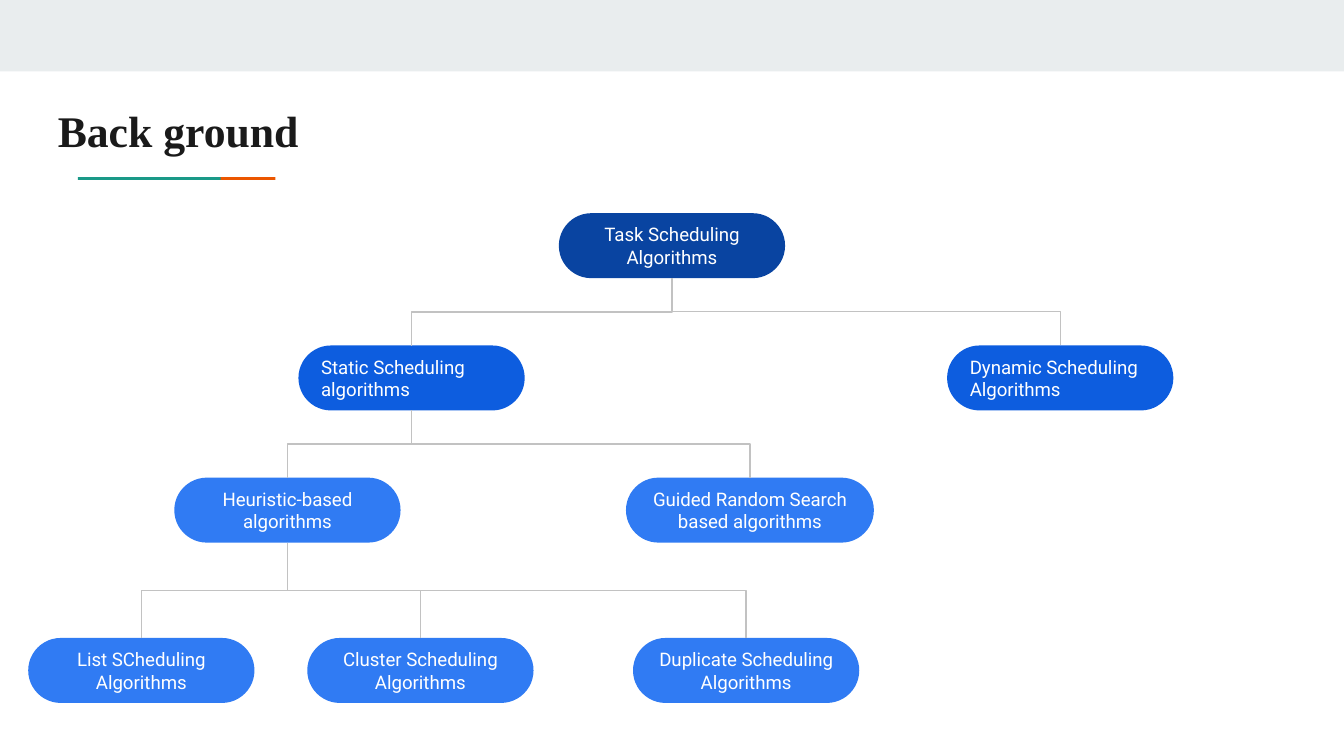
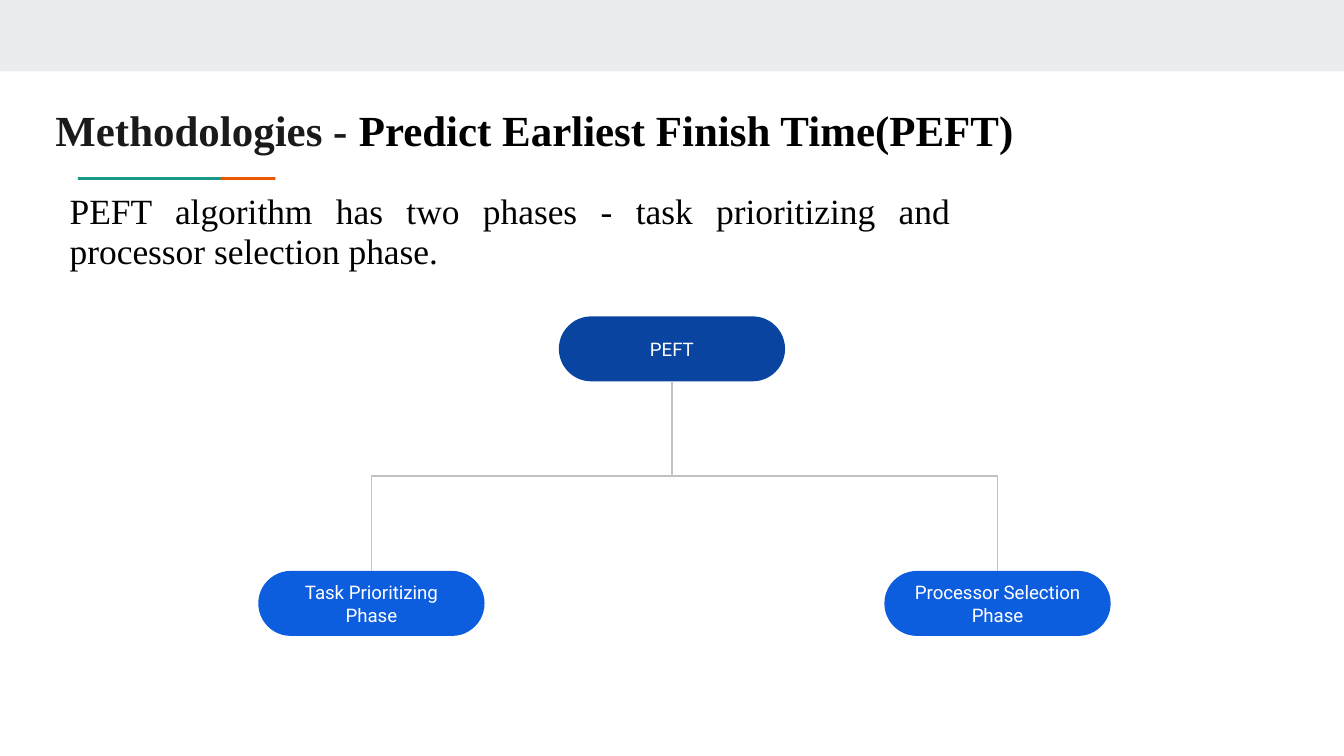
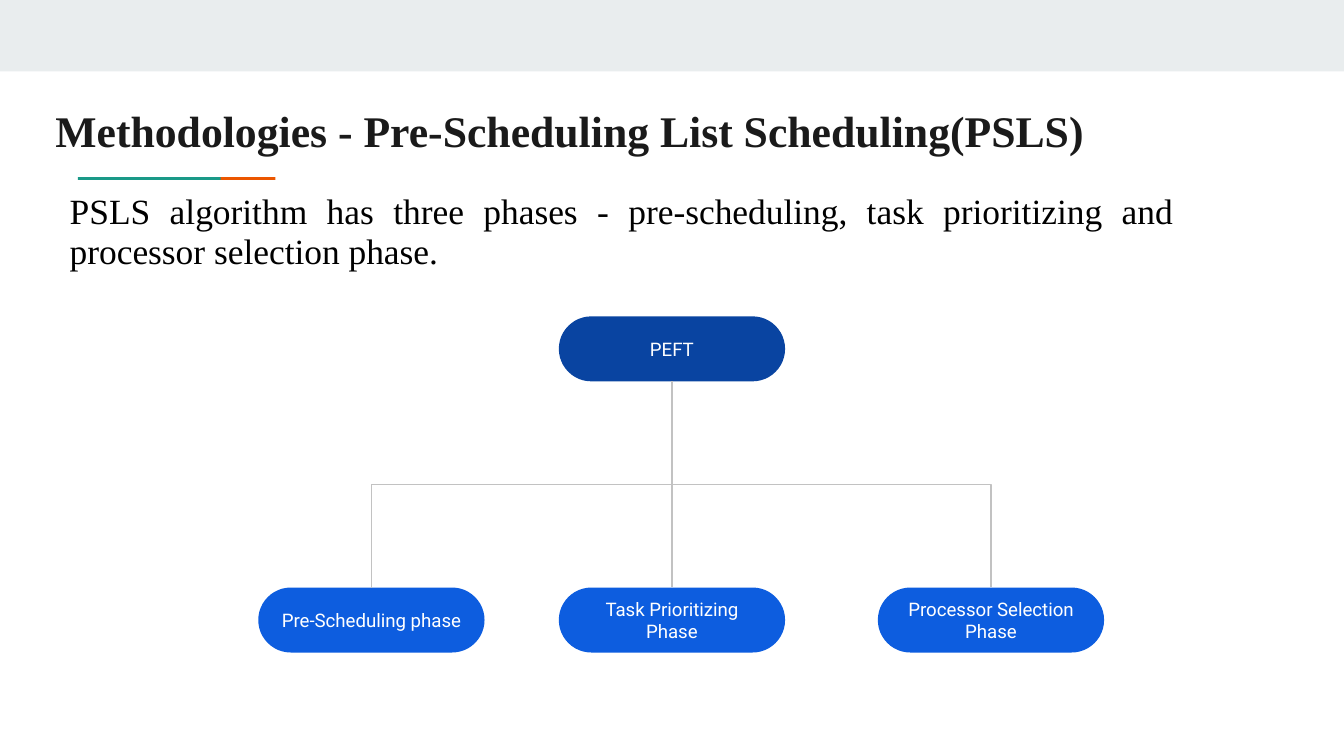
import pptx
import pptx.util
import pptx.dml.color
import pptx.enum.shapes
import pptx.enum.text
import pptx.oxml.ns
import lxml.etree

Pt = pptx.util.Pt
ALIGN = pptx.enum.text.PP_ALIGN
SHAPES = pptx.enum.shapes.MSO_SHAPE

SLIDE_SIZE = (720, 405)
SERIF, SANS = "Times New Roman", "Roboto"
INK, BLACK, WHITE, WIRE = "1A1A1A", "000000", "FFFFFF", "C2C2C2"
LEVEL_COLORS = ["0944A1", "0D5DDF", "307BF3", "307BF3"]
DECOR = [
    ("E9EDEE", (0, 0, 720, 38.25)),
    ("EB5600", (71.25, 94.9, 76.25, 1.5)),
    ("1A9988", (41.75, 94.9, 76.5, 1.5)),
]
TITLE_TOP, TITLE_HEIGHT = 48.25, 42.5
INTRO_BOX = (30.25, 95.75, 67.7)
PILL_WIDTH, PILL_HEIGHT = 121.2, 34.8
TITLE_FONT = {"name": SERIF, "bold": True}
INTRO_FONT = {"name": SERIF, "size": Pt(19)}
PILL_FONT = {"name": SANS, "size": Pt(10)}
FRAME = {"word_wrap": True, "auto_size": pptx.enum.text.MSO_AUTO_SIZE.NONE,
         "margin_left": Pt(7.2), "margin_right": Pt(7.2),
         "margin_top": Pt(7.2), "margin_bottom": Pt(7.2)}

SLIDES = [
    {
        "title": [("Back ground", INK)], "title_size": 23.4,
        "title_left": 23.75, "title_width": 630,
        "tops": [114.25, 185.1, 255.9, 341.8],
        "nodes": [
            {"text": "Task Scheduling Algorithms", "level": 0, "center": 360},
            {"text": "Dynamic Scheduling Algorithms", "level": 1, "center": 568,
             "parent": 0, "align": ALIGN.LEFT},
            {"text": "Static Scheduling algorithms", "level": 1, "center": 220.5,
             "parent": 0, "align": ALIGN.LEFT},
            {"text": "Heuristic-based algorithms", "level": 2, "center": 154, "parent": 2},
            {"text": "Guided Random Search based algorithms", "level": 2,
             "center": 401.75, "parent": 2, "width": 132.8},
            {"text": "List SCheduling Algorithms", "level": 3, "center": 75.75, "parent": 3},
            {"text": "Cluster Scheduling Algorithms", "level": 3, "center": 225.25, "parent": 3},
            {"text": "Duplicate Scheduling Algorithms", "level": 3, "center": 399.75, "parent": 3},
        ],
    },
    {
        "title": [("Methodologies - ", INK), ("Predict Earliest Finish Time(PEFT)", BLACK)],
        "title_size": 23, "title_left": 22.5, "title_width": 681,
        "intro": "PEFT algorithm has two phases - task prioritizing and processor selection phase.",
        "intro_width": 486,
        "tops": [169.5, 305.9],
        "nodes": [
            {"text": "PEFT", "level": 0, "center": 360},
            {"text": "Processor Selection Phase", "level": 1, "center": 534.4, "parent": 0},
            {"text": "Task Prioritizing Phase", "level": 1, "center": 199, "parent": 0},
        ],
    },
    {
        "title": [("Methodologies - Pre-Scheduling List Scheduling(PSLS)", INK)],
        "title_size": 23.4, "title_left": 22.5, "title_width": 681,
        "intro": "PSLS algorithm has three phases - pre-scheduling, task prioritizing "
                 "and processor selection phase.",
        "intro_width": 605.5,
        "tops": [169.5, 314.8],
        "nodes": [
            {"text": "PEFT", "level": 0, "center": 360},
            {"text": "Processor Selection Phase", "level": 1, "center": 530.9, "parent": 0},
            {"text": "Pre-Scheduling phase", "level": 1, "center": 199, "parent": 0},
            {"text": "Task Prioritizing Phase", "level": 1, "center": 360, "parent": 0},
        ],
    },
]


def color(value):
    return pptx.dml.color.RGBColor.from_string(value)


def apply(target, values):
    for key, value in values.items():
        setattr(target, key, value)


def place(target, left, top, width, height):
    apply(target, {"left": Pt(left), "top": Pt(top), "width": Pt(width), "height": Pt(height)})


def write(frame, runs, font, align, anchor=pptx.enum.text.MSO_ANCHOR.TOP):
    apply(frame, FRAME)
    frame.vertical_anchor = anchor
    paragraph = frame.paragraphs[0]
    paragraph.alignment = align
    for text, tint in runs:
        run = paragraph.add_run()
        run.text = text
        apply(run.font, font)
        run.font.color.rgb = color(tint)
    return paragraph


def add_block(slide, kind, fill, box):
    block = slide.shapes.add_shape(kind, *map(Pt, box))
    block.shadow.inherit = False
    block.fill.solid()
    block.fill.fore_color.rgb = color(fill)
    block.line.fill.background()
    return block


def add_heading(slide, content):
    place(slide.shapes.title, content["title_left"], TITLE_TOP,
          content["title_width"], TITLE_HEIGHT)
    write(slide.shapes.title.text_frame, content["title"],
          {**TITLE_FONT, "size": Pt(content["title_size"])}, ALIGN.LEFT)


def add_intro(slide, content):
    left, top, height = INTRO_BOX
    intro = slide.shapes.add_textbox(Pt(left), Pt(top), Pt(content["intro_width"]), Pt(height))
    paragraph = write(intro.text_frame, [(content["intro"], BLACK)], INTRO_FONT, ALIGN.JUSTIFY)
    paragraph.line_spacing = 0.95


def add_pill(slide, node, top):
    width = node.get("width", PILL_WIDTH)
    pill = add_block(slide, SHAPES.ROUNDED_RECTANGLE, LEVEL_COLORS[node["level"]],
                     (node["center"] - width / 2, top, width, PILL_HEIGHT))
    pill.adjustments[0] = 0.5
    write(pill.text_frame, [(node["text"], WHITE)], PILL_FONT,
          node.get("align", ALIGN.CENTER), pptx.enum.text.MSO_ANCHOR.MIDDLE)
    return pill


def add_branch(slide, nodes, pills, tops, child):
    parent = nodes[child]["parent"]
    x1, x2 = nodes[parent]["center"], nodes[child]["center"]
    y1, y2 = tops[nodes[parent]["level"]] + PILL_HEIGHT, tops[nodes[child]["level"]]
    rightward = x2 >= x1
    branch = slide.shapes.add_connector(pptx.enum.shapes.MSO_CONNECTOR.ELBOW, 0, 0, 0, 0)
    ends = [(pills[parent], 2), (pills[child], 0)]
    begin, end = ends if rightward else reversed(ends)
    branch.begin_connect(*begin)
    branch.end_connect(*end)
    run, drop = abs(x2 - x1), y2 - y1
    place(branch, (x1 + x2 - drop) / 2, (y1 + y2 - run) / 2, drop, run)
    properties = branch._element.spPr
    turn = {"rot": "16200000", "flipH": str(int(rightward)), "flipV": "0"}
    for key, value in turn.items():
        properties.find(pptx.oxml.ns.qn("a:xfrm")).set(key, value)
    branch.line.color.rgb = color(WIRE)
    branch.line.width = Pt(0.75)
    lxml.etree.SubElement(properties, pptx.oxml.ns.qn("a:effectLst"))


def add_tree(slide, nodes, tops):
    pills = [add_pill(slide, node, tops[node["level"]]) for node in nodes]
    for child, node in enumerate(nodes):
        if "parent" in node:
            add_branch(slide, nodes, pills, tops, child)


def main():
    deck = pptx.Presentation()
    deck.slide_width, deck.slide_height = map(Pt, SLIDE_SIZE)
    for content in SLIDES:
        slide = deck.slides.add_slide(deck.slide_layouts[5])
        for fill, box in DECOR:
            add_block(slide, SHAPES.RECTANGLE, fill, box)
        add_heading(slide, content)
        if "intro" in content:
            add_intro(slide, content)
        add_tree(slide, content["nodes"], content["tops"])
    deck.save("out.pptx")


if __name__ == "__main__":
    main()
